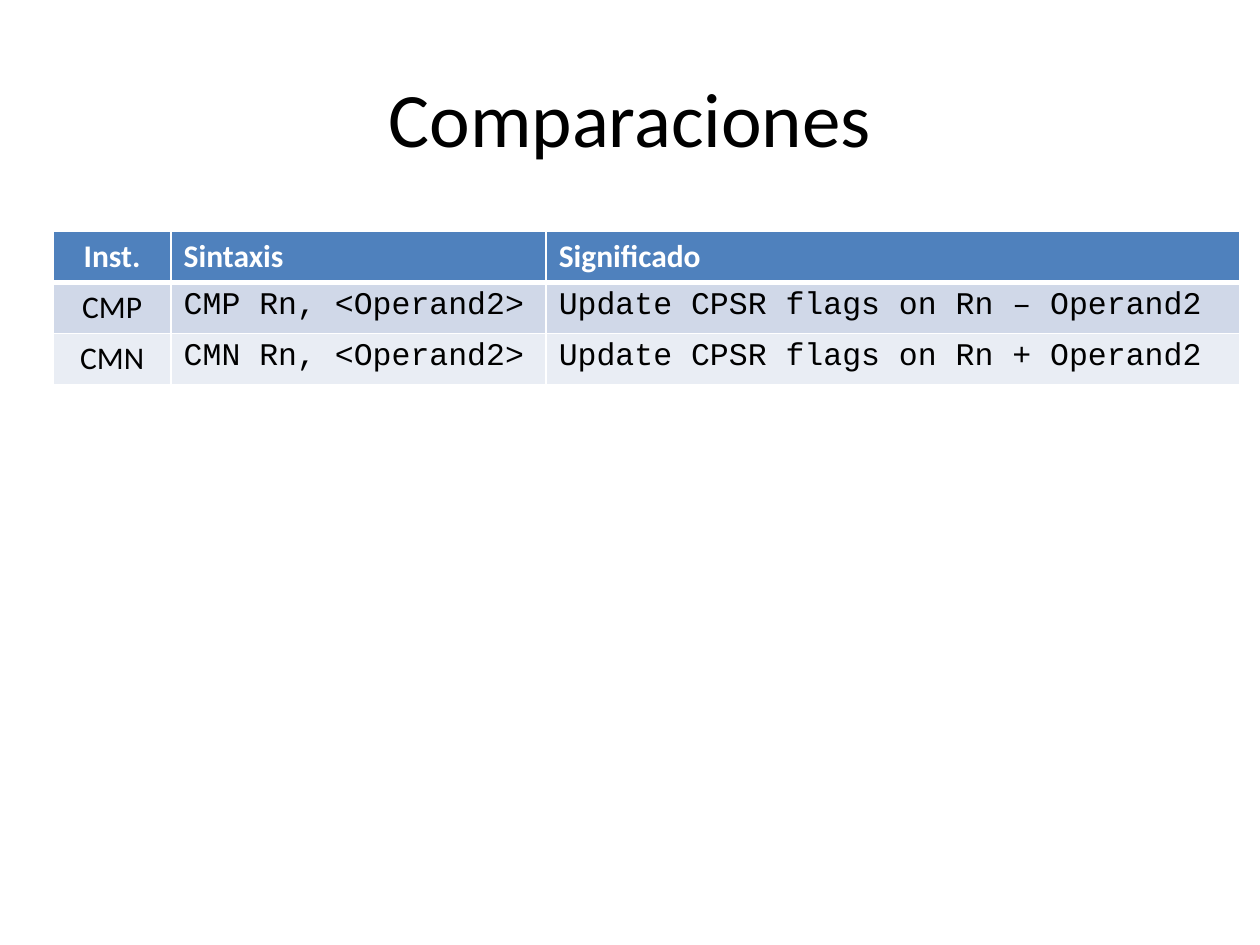
from lxml import etree
from pptx import Presentation, util as u
from pptx.dml.color import RGBColor
from pptx.enum import text
from pptx.oxml import ns

BODY_FONT, CODE_FONT = "Calibri", "Courier New"
BLACK, WHITE, HEADER = "000000", "FFFFFF", "4F81BD"
BANDS = ["D0D8E8", "E9EDF4"]


def color(hex_string):
    return RGBColor.from_string(hex_string)


def write(frame, content, font=BODY_FONT, size=18, fill=BLACK, bold=False, centered=False):
    paragraph = frame.paragraphs[0]
    paragraph.alignment = text.PP_ALIGN.CENTER if centered else text.PP_ALIGN.LEFT
    run = paragraph.add_run()
    run.text = content
    run.font.name = font
    run.font.size = u.Pt(size)
    run.font.bold = bold
    run.font.color.rgb = color(fill)


def set_border(cell, side, width):
    properties = cell._tc.get_or_add_tcPr()
    line = etree.SubElement(properties, ns.qn(f"a:ln{side}"), w=str(u.Pt(width)))
    fill = etree.SubElement(line, ns.qn("a:solidFill"))
    etree.SubElement(fill, ns.qn("a:srgbClr"), val=WHITE)


class SlideBuilder:
    def __init__(self, presentation):
        self.slide = presentation.slides.add_slide(presentation.slide_layouts[5])
        self.slide.background.fill.solid()
        self.slide.background.fill.fore_color.rgb = color(WHITE)

    def title(self, content, left, top, width, height):
        shape = self.slide.shapes.title
        shape.left, shape.top = u.Cm(left), u.Cm(top)
        shape.width, shape.height = u.Cm(width), u.Cm(height)
        shape.text_frame.vertical_anchor = text.MSO_ANCHOR.MIDDLE
        write(shape.text_frame, content, size=44, centered=True)

    def table(self, rows, left, top, widths, row_height):
        table = self.slide.shapes.add_table(
            len(rows), len(widths), u.Cm(left), u.Cm(top),
            u.Cm(sum(widths)), u.Cm(row_height * len(rows))).table
        for column, width in zip(table.columns, widths):
            column.width = u.Cm(width)
        for i, row in enumerate(rows):
            for j, content in enumerate(row):
                self.cell(table.cell(i, j), content, i, j)

    def cell(self, cell, content, i, j):
        is_header = i == 0
        # Thick rule between the header and the first row
        for side in "LRTB":
            thick = (i, side) in [(0, "B"), (1, "T")]
            set_border(cell, side, 3 if thick else 1)
        cell.fill.solid()
        cell.fill.fore_color.rgb = color(HEADER if is_header else BANDS[(i - 1) % 2])
        write(cell.text_frame, content,
              font=BODY_FONT if is_header or j == 0 else CODE_FONT,
              fill=WHITE if is_header else BLACK,
              bold=is_header, centered=j == 0)


def main():
    presentation = Presentation()
    presentation.slide_width, presentation.slide_height = u.Cm(25.4), u.Cm(19.05)
    builder = SlideBuilder(presentation)

    # Title
    builder.title("Comparaciones", 1.27, 0.76, 22.86, 3.18)

    # Comparison instructions
    builder.table([
        ["Inst.", "Sintaxis", "Significado"],
        ["CMP", "CMP Rn, <Operand2>", "Update CPSR flags on Rn – Operand2"],
        ["CMN", "CMN Rn, <Operand2>", "Update CPSR flags on Rn + Operand2"],
    ], left=1.07, top=4.66, widths=[2.38, 7.56, 13.98], row_height=1.03)

    presentation.save("out.pptx")


if __name__ == "__main__":
    main()
